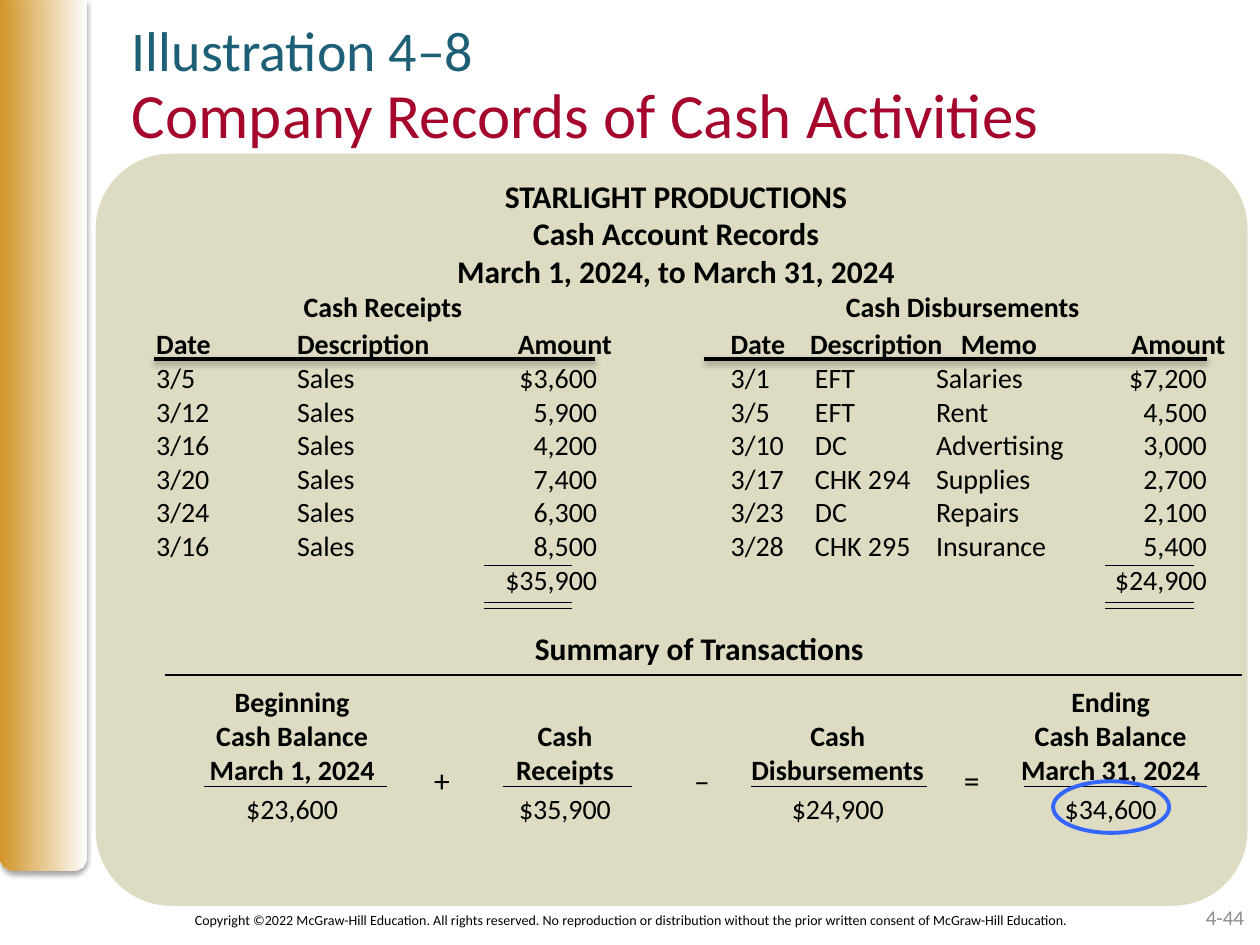
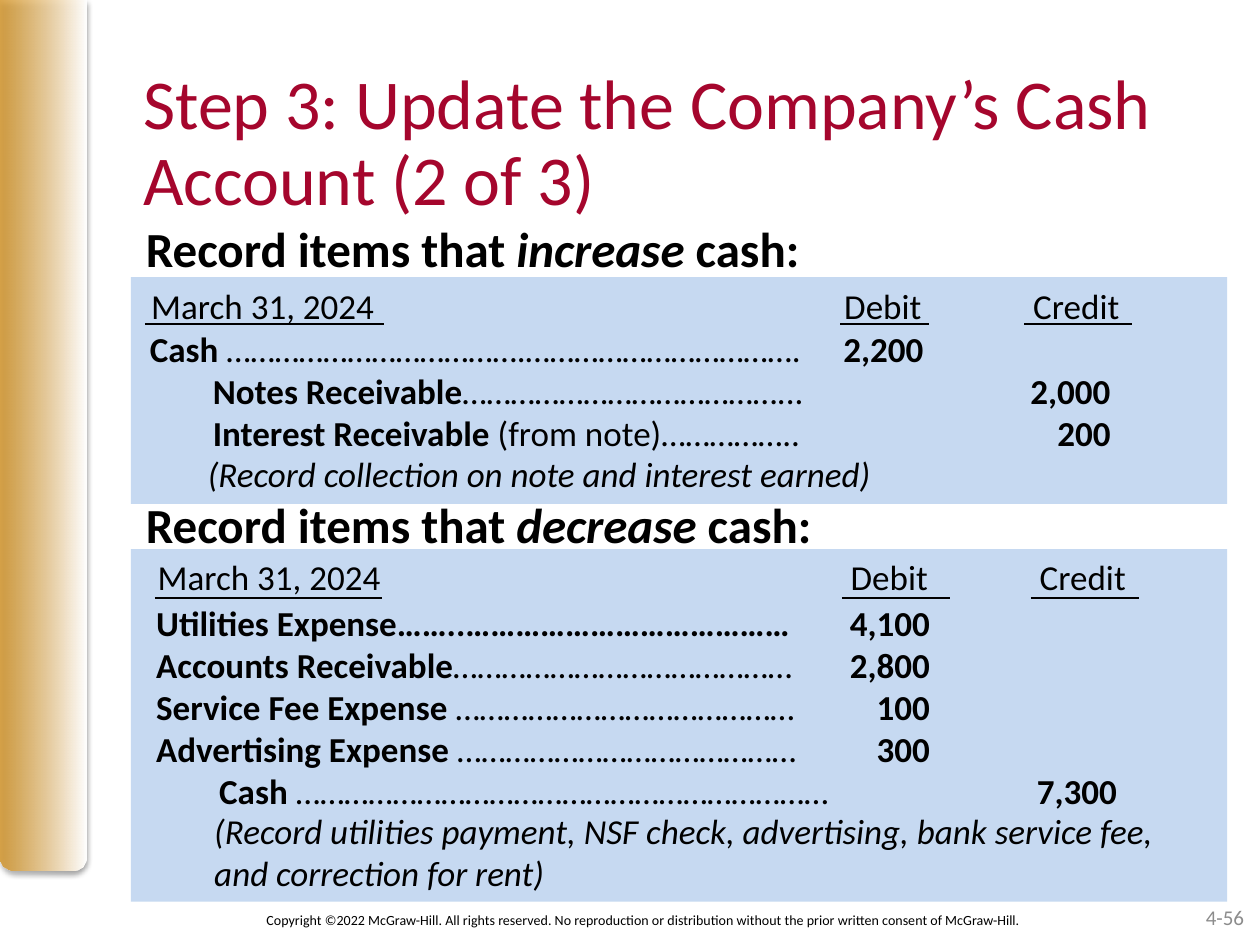
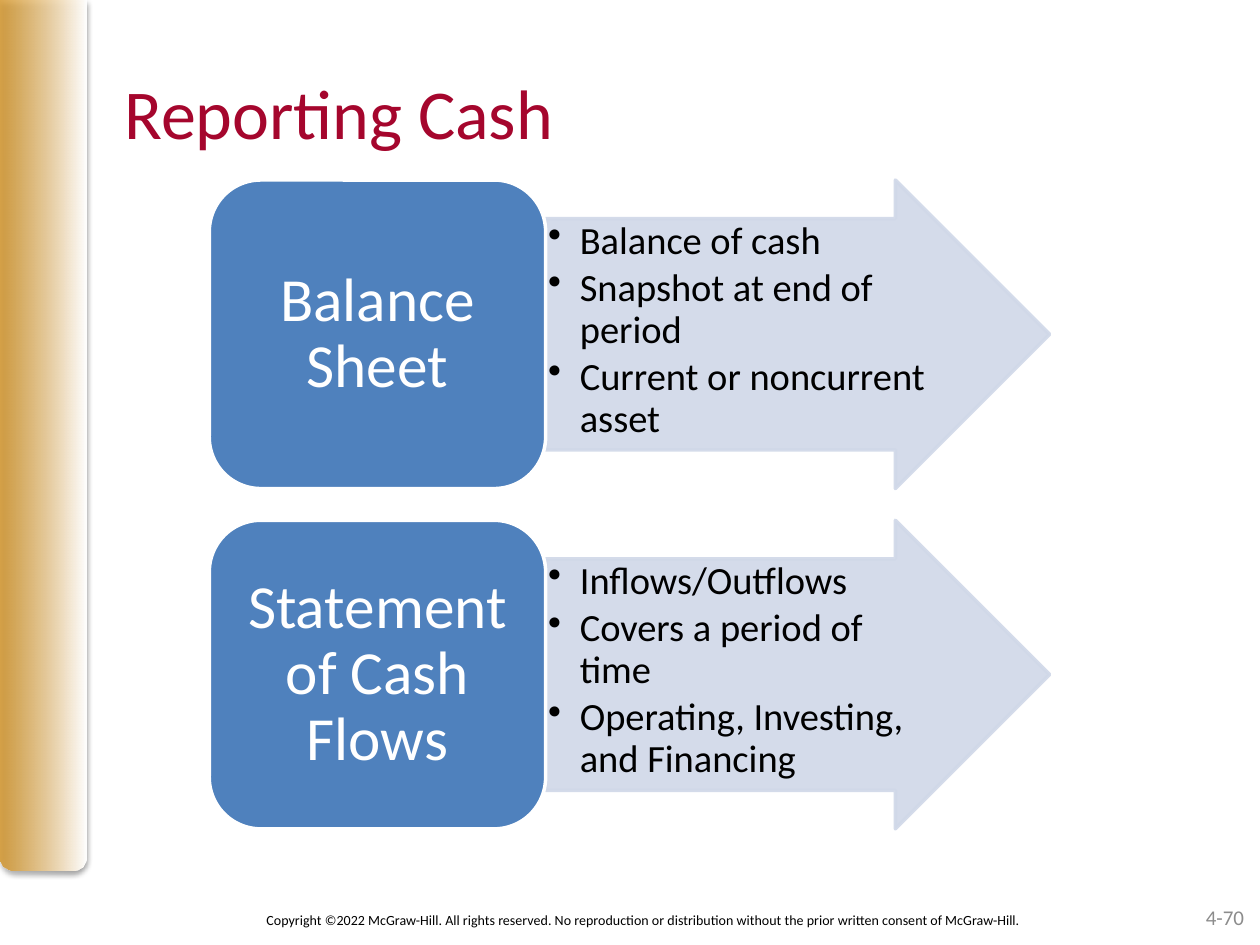
from dataclasses import dataclass

from lxml import etree
from pptx import Presentation
from pptx.dml.color import RGBColor
from pptx.enum.shapes import MSO_CONNECTOR, MSO_SHAPE
from pptx.enum.text import MSO_ANCHOR, PP_ALIGN
from pptx.oxml import parse_xml
from pptx.oxml.ns import nsdecls, qn
from pptx.util import Cm, Pt

LEFT, CENTER, RIGHT = PP_ALIGN.LEFT, PP_ALIGN.CENTER, PP_ALIGN.RIGHT
TOP, MIDDLE, BOTTOM = MSO_ANCHOR.TOP, MSO_ANCHOR.MIDDLE, MSO_ANCHOR.BOTTOM
RECTANGLE, ROUNDED, OVAL = MSO_SHAPE.RECTANGLE, MSO_SHAPE.ROUNDED_RECTANGLE, MSO_SHAPE.OVAL
ARROW, BAND = MSO_SHAPE.RIGHT_ARROW, MSO_SHAPE.ROUND_2_SAME_RECTANGLE
STRAIGHT = MSO_CONNECTOR.STRAIGHT


@dataclass(frozen=True)
class Theme:
    font: str = "Calibri"
    black: str = "000000"
    white: str = "FFFFFF"
    gold: str = "D49323"
    crimson: str = "A5062D"
    teal: str = "1D5F76"
    gray: str = "8C8C8C"
    sand: str = "D4D0B0"
    sky: str = "C6D9F1"
    steel: str = "4F81BD"
    mist: str = "D0D8E8"
    marker: str = "3366FF"
    title: int = 40
    long_title: int = 36
    kicker: int = 32
    card: int = 35
    lead: int = 28
    bullet: int = 22
    entry: int = 20
    heading: int = 18
    ledger: int = 16
    number: int = 12
    footer: int = 8


THEME = Theme()
SHADOW = (f'<a:outerShdw {nsdecls("a")} blurRad="40000" dist="22000" dir="5400000" rotWithShape="0">'
          '<a:srgbClr val="000000"><a:alpha val="36000"/></a:srgbClr></a:outerShdw>')


def put(page, area, paragraphs=(), size=18, color=THEME.black, style="", align=LEFT, anchor=TOP,
        spacing=1.0, after=0, tabs=(), bullet=False, inset=(0.25, 0.13),
        preset=None, fill=None, line=None, weight=1, alpha=100):
    """Place a text box or preset shape; a paragraph is a string or a list of (text, style) spans."""
    place = [Cm(length) for length in area]
    if preset is None:
        box = page.shapes.add_textbox(*place)
    else:
        box = page.shapes.add_shape(preset, *place)
        box.shadow.inherit = False
        if fill:
            box.fill.solid()
            box.fill.fore_color.rgb = RGBColor.from_string(fill)
        else:
            box.fill.background()
        if line:
            box.line.color.rgb = RGBColor.from_string(line)
            box.line.width = Pt(weight)
        else:
            box.line.fill.background()
        if alpha < 100:
            for tint in box._element.spPr.iter(qn("a:srgbClr")):
                etree.SubElement(tint, qn("a:alpha"), val=str(alpha * 1000))

    frame = box.text_frame
    frame.word_wrap = True
    frame.vertical_anchor = anchor
    frame.margin_left = frame.margin_right = Cm(inset[0])
    frame.margin_top = frame.margin_bottom = Cm(inset[1])
    for index, spans in enumerate(paragraphs):
        para = frame.add_paragraph() if index else frame.paragraphs[0]
        props = para._p.get_or_add_pPr()
        if bullet:
            props.set("marL", str(Cm(0.64)))
            props.set("indent", str(-Cm(0.64)))
            etree.SubElement(props, qn("a:buChar"), char="•")
        if tabs:
            stops = etree.SubElement(props, qn("a:tabLst"))
            for position, side in tabs:
                etree.SubElement(stops, qn("a:tab"), pos=str(Cm(position)), algn=side)
        para.alignment = align
        para.line_spacing = spacing
        para.space_after = Pt(after)
        for text, look in [(spans, style)] if isinstance(spans, str) else spans:
            span = para.add_run()
            span.text = text
            span.font.name = THEME.font
            span.font.size = Pt(size)
            span.font.bold = "b" in look
            span.font.italic = "i" in look
            span.font.color.rgb = RGBColor.from_string(color)
    return box


def rule(page, start, end, height, weight=0.75, shadow=False):
    """Draw a horizontal black rule."""
    connector = page.shapes.add_connector(STRAIGHT, Cm(start), Cm(height), Cm(end), Cm(height))
    connector.line.color.rgb = RGBColor.from_string(THEME.black)
    connector.line.width = Pt(weight)
    effects = etree.SubElement(connector._element.spPr, qn("a:effectLst"))
    if shadow:
        effects.append(parse_xml(SHADOW))


deck = Presentation()
deck.slide_width, deck.slide_height = Cm(25.4), Cm(19.05)

# Shared frame: side band, title, copyright line, page number
RIGHTS = "All rights reserved. No reproduction or distribution without the prior written consent of"
frames = [
    ("Company Records of Cash Activities", (2.41, 1.57, 22.63, 2), THEME.long_title, 0.9,
     "McGraw-Hill Education", 2.74, "4-44", 96),
    ("Step 3: Update the Company’s Cash Account (2 of 3)", (2.64, 1.27, 22.76, 3.18), THEME.title, 0.9,
     "McGraw-Hill", 2.98, "4-56", 80),
    ("Reporting Cash", (2.26, 1.27, 22.86, 3.18), THEME.title, 1.0,
     "McGraw-Hill", 2.98, "4-70", 80),
]
pages = []
for title, title_area, title_size, spacing, owner, footer_left, number, opacity in frames:
    page = deck.slides.add_slide(deck.slide_layouts[6])
    pages.append(page)
    band = put(page, (0, 0, 1.75, 17.55), preset=BAND)
    band.adjustments[0], band.adjustments[1] = 0, 0.17
    band.fill.gradient()
    band.fill.gradient_angle = 0
    for stop, tint, position in zip(band.fill.gradient_stops, (THEME.gold, THEME.white), (0, 1)):
        stop.color.rgb = RGBColor.from_string(tint)
        stop.position = position
    gold_stop = next(band._element.spPr.iter(qn("a:srgbClr")))
    etree.SubElement(gold_stop, qn("a:alpha"), val=str(opacity * 1000))
    band._element.spPr.find(qn("a:effectLst")).append(parse_xml(SHADOW))

    put(page, title_area, [title], title_size, THEME.crimson, spacing=spacing)
    put(page, (footer_left, 18.03, 20, 1.02), [f"Copyright ©2022 {owner}. {RIGHTS} {owner}."],
        THEME.footer, align=CENTER, anchor=MIDDLE)
    put(page, (19.41, 17.98, 5.92, 1.02), [number], THEME.number, THEME.gray, align=RIGHT, anchor=MIDDLE)

records_page, update_page, reporting_page = pages

# Slide 1: cash records
put(records_page, (2.41, 0.33, 22.63, 1.6), ["Illustration 4–8"], THEME.kicker, THEME.teal, spacing=0.9)
panel = put(records_page, (1.93, 3.1, 23.22, 15.16), preset=ROUNDED, fill=THEME.sand, alpha=75)
panel.adjustments[0] = 0.1
put(records_page, (2.4, 3.43, 22.46, 2.6),
    ["STARLIGHT PRODUCTIONS", "Cash Account Records", "March 1, 2024, to March 31, 2024"],
    THEME.heading, style="b", align=CENTER)

# Receipts and disbursements side by side on tab stops
put(records_page, (2.9, 5.71, 22.4, 0.95), ["\tCash Receipts\tCash Disbursements"], THEME.ledger, style="b",
    tabs=[(4.57, "ctr"), (16.26, "ctr")])
put(records_page, (2.9, 6.46, 22.4, 0.95),
    ["Date\tDescription\tAmount\tDate\tDescription\tMemo\tAmount"], THEME.ledger, style="b",
    tabs=[(2.84, "l"), (7.29, "l"), (11.58, "l"), (13.18, "l"), (16.22, "l"), (19.66, "l")])
ledger_rows = [
    ("3/5", "Sales", "$3,600", "3/1", "EFT", "Salaries", "$7,200"),
    ("3/12", "Sales", "5,900", "3/5", "EFT", "Rent", "4,500"),
    ("3/16", "Sales", "4,200", "3/10", "DC", "Advertising", "3,000"),
    ("3/20", "Sales", "7,400", "3/17", "CHK 294", "Supplies", "2,700"),
    ("3/24", "Sales", "6,300", "3/23", "DC", "Repairs", "2,100"),
    ("3/16", "Sales", "8,500", "3/28", "CHK 295", "Insurance", "5,400"),
    ("", "", "$35,900", "", "", "", "$24,900"),
]
put(records_page, (2.9, 7.14, 22.4, 5.1), ["\t".join(row) for row in ledger_rows], THEME.ledger,
    tabs=[(2.84, "l"), (8.89, "r"), (11.58, "l"), (13.28, "l"), (15.72, "l"), (21.18, "r")])
for start, end in [(3.1, 11.99), (14.2, 24.33)]:
    rule(records_page, start, end, 7.24, weight=2, shadow=True)
for start in (9.75, 22.28):
    for height in (11.4, 12.14, 12.27):
        rule(records_page, start, start + 1.78, height)

# Summary equation
put(records_page, (3.33, 12.55, 21.54, 1.09), ["Summary of Transactions"], THEME.heading, style="b", align=CENTER)
rule(records_page, 3.33, 25.04, 13.61)
summary = [
    (["Beginning", "Cash Balance", "March 1, 2024"], "$23,600", 4.11, 7.8),
    (["Cash", "Receipts"], "$35,900", 10.13, 12.75),
    (["Cash", "Disbursements"], "$24,900", 15.14, 18.69),
    (["Ending", "Cash Balance", "March 31, 2024"], "$34,600", 20.65, 24.33),
]
for column, (heading, amount, start, end) in enumerate(summary):
    left = 3.14 + 5.5 * column
    put(records_page, (left, 13.66, 5.5, 2.31), heading, THEME.ledger, style="b", align=CENTER, anchor=BOTTOM)
    put(records_page, (left, 15.83, 5.5, 0.95), [amount], THEME.ledger, align=CENTER)
    rule(records_page, start, end, 15.85)
for sign, left in [("+", 8.21), ("–", 13.45), ("=", 18.89)]:
    put(records_page, (left, 15.21, 1.4, 1.09), [sign], THEME.heading, align=CENTER)
put(records_page, (21.23, 15.75, 2.34, 1.04), preset=OVAL, line=THEME.marker, weight=2.25)

# Slide 2: journal entries
entries = [
    dict(
        change="increase", lead_top=4.27, panel=(5.59, 4.57), left=2.77,
        head_top=5.61, lines_top=6.48, note_top=8.99, rule_height=6.53,
        rules=[(2.92, 7.75), (16.94, 18.72), (20.65, 22.81)],
        lines=[
            [("Cash ", "b"), ("……………………………….…………………………….", ""), ("\t2,200", "b")],
            [("\tNotes Receivable", "b"), ("…………………………………...", ""), ("\t\t2,000", "b")],
            [("\tInterest Receivable ", "b"), ("(from note)……………..", ""), ("\t\t200", "b")],
        ],
        note="(Record collection on note and interest earned)",
    ),
    dict(
        change="decrease", lead_top=9.83, panel=(11.07, 7.11), left=2.9,
        head_top=11.07, lines_top=11.99, note_top=16.18, rule_height=12.06,
        rules=[(3.12, 7.7), (16.97, 19.15), (20.78, 22.96)],
        lines=[
            [("Utilities Expense……..…………………………………", "b"), ("\t4,100", "b")],
            [("Accounts Receivable", "b"), ("……………………………………", ""), ("\t2,800", "b")],
            [("Service Fee Expense", "b"), (" ……………………………………", ""), ("\t100", "b")],
            [("Advertising Expense", "b"), (" ……………………………………", ""), ("\t300", "b")],
            [("\tCash ", "b"), ("…………………………………………………………", ""), ("\t\t7,300", "b")],
        ],
        note="(Record utilities payment, NSF check, advertising, bank service fee, and correction for rent)",
    ),
]
for entry in entries:
    left = entry["left"]
    panel_top, panel_height = entry["panel"]
    put(update_page, (2.64, panel_top, 22.1, panel_height), preset=RECTANGLE, fill=THEME.sky)
    put(update_page, (2.69, entry["lead_top"], 21.64, 1.4),
        [[("Record items that ", "b"), (entry["change"], "bi"), (" cash:", "b")]], THEME.lead)
    put(update_page, (left + 0.03, entry["head_top"], 22, 1.1), ["March 31, 2024\tDebit\tCredit"],
        THEME.entry, tabs=[(13.97, "l"), (17.78, "l")])
    put(update_page, (left, entry["lines_top"], 22, 0.85 * len(entry["lines"]) + 0.26), entry["lines"],
        THEME.entry, tabs=[(1.27, "l"), (15.6, "r"), (19.37, "r")])
    put(update_page, (left + 1.17, entry["note_top"], 19.96, 1.1), [entry["note"]], THEME.entry, style="i")
    for start, end in entry["rules"]:
        rule(update_page, start, end, entry["rule_height"], weight=1)

# Slide 3: statements with their features
statements = [
    ("Balance Sheet", ["Balance of cash", "Snapshot at end of period", "Current or noncurrent asset"]),
    ("Statement of Cash Flows",
     ["Inflows/Outflows", "Covers a period of time", "Operating, Investing, and Financing"]),
]
for row, (statement, features) in enumerate(statements):
    top = 3.63 + 6.86 * row
    arrow = put(reporting_page, (11, top, 10.16, 6.22), features, THEME.bullet, spacing=0.9, after=3.3,
                bullet=True, inset=(0.05, 0.05), preset=ARROW, fill=THEME.mist, line=THEME.mist,
                weight=2, alpha=90)
    arrow.adjustments[0], arrow.adjustments[1] = 0.75, 0.5
    put(reporting_page, (4.22, top, 6.78, 6.22), [statement], THEME.card, THEME.white, align=CENTER,
        anchor=MIDDLE, spacing=0.9, inset=(0.38, 0.18), preset=ROUNDED, fill=THEME.steel,
        line=THEME.white, weight=2)

deck.save("out.pptx")
